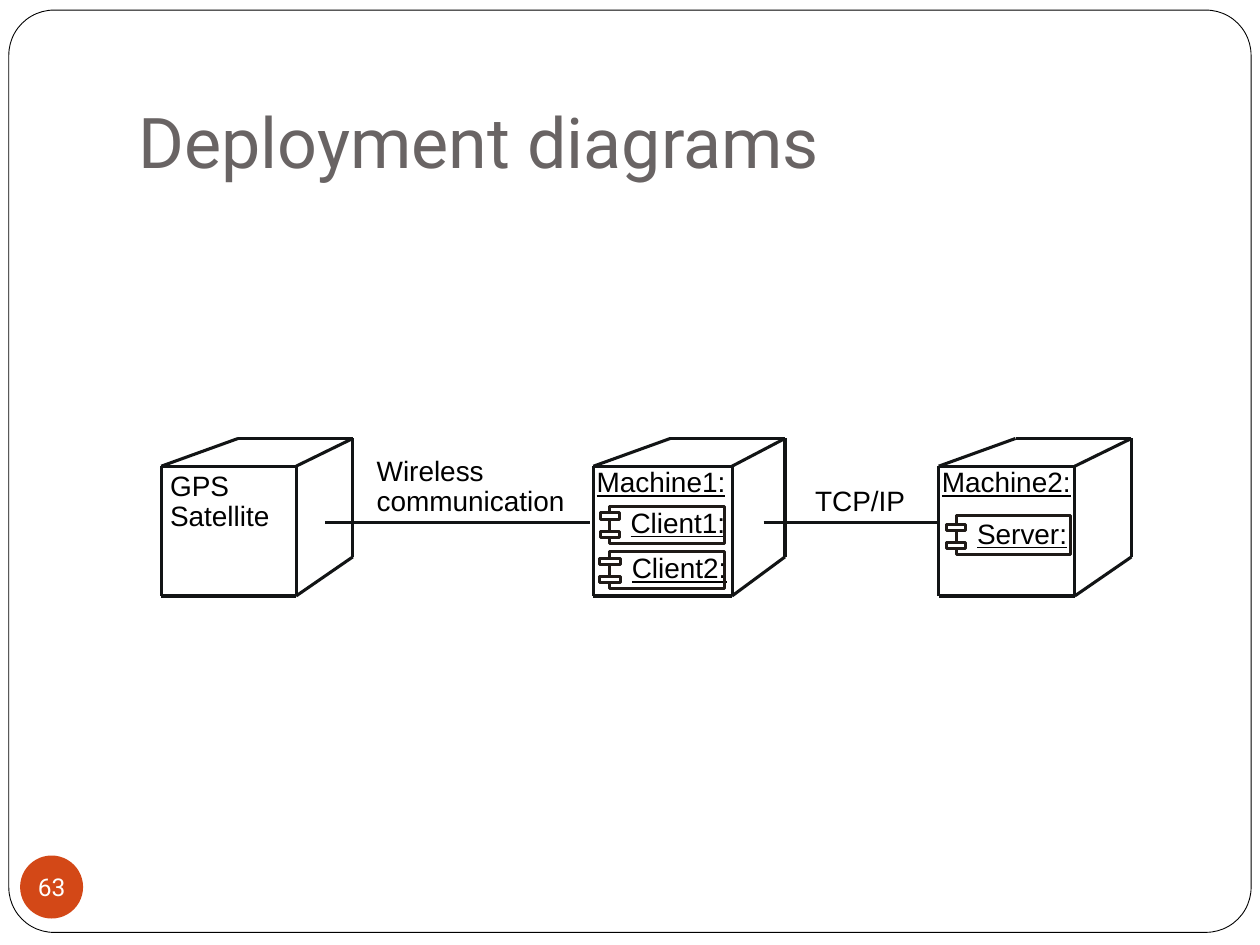
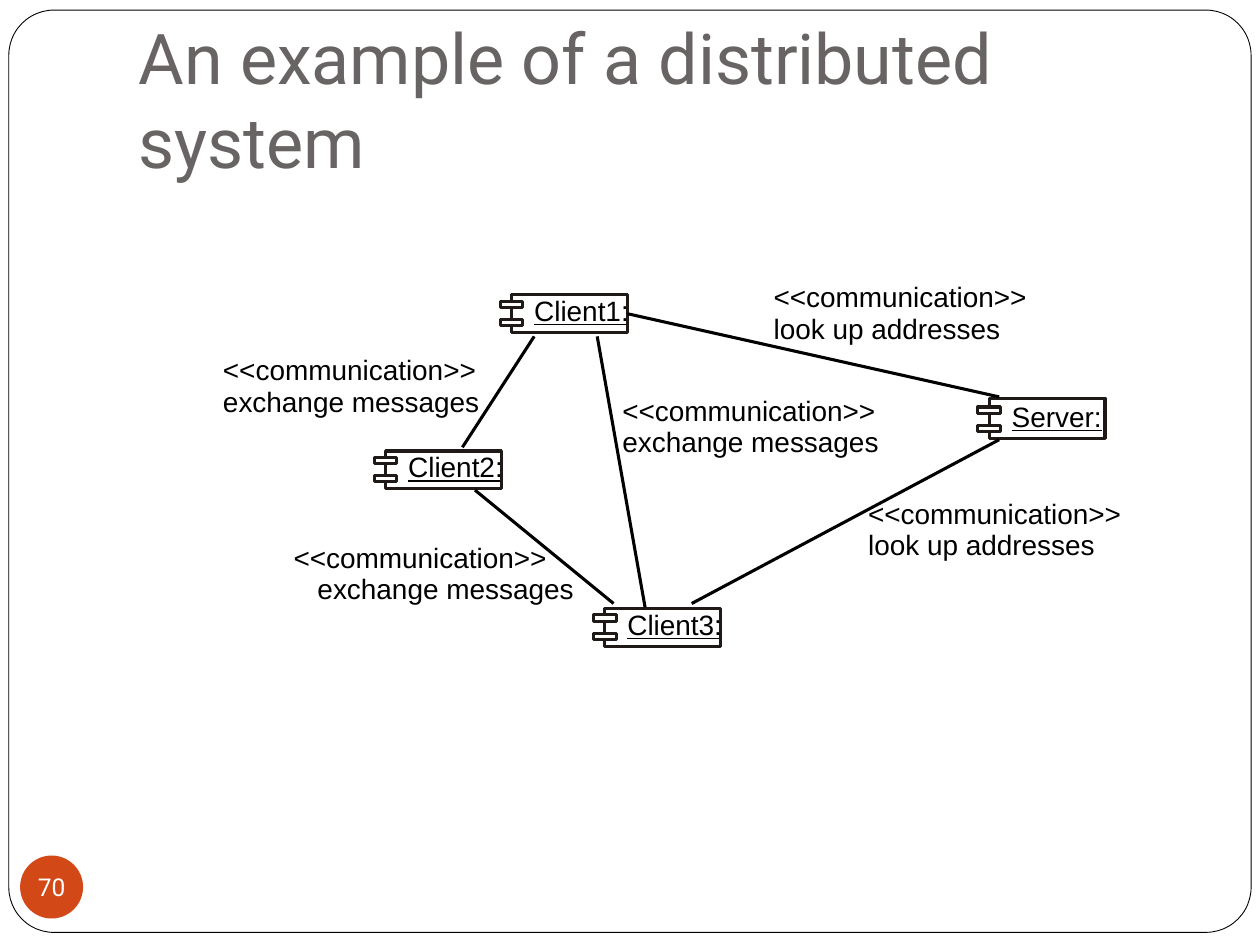
import dataclasses

import lxml.etree
import pptx
import pptx.dml.color
import pptx.enum.shapes
import pptx.enum.text
import pptx.oxml.ns
import pptx.util

WIDTH, HEIGHT = pptx.util.Inches(10), pptx.util.Inches(7.5)
COLUMNS, ROWS = 100, 75
BLACK, WHITE, EDGE, OUTLINE = "000000", "FFFFFF", "121415", "1F1A17"
TITLE_GREY, BADGE_ORANGE = "696464", "D34817"
TITLE_FONT, LABEL_FONT = "Roboto", "Arial"
STROKE = 1.75
LABEL_HEIGHT = 2.7
SHAPES = pptx.enum.shapes.MSO_SHAPE
ANCHORS = pptx.enum.text.MSO_ANCHOR
ALIGNS = pptx.enum.text.PP_ALIGN
RIGHT_SIDE = 3


@dataclasses.dataclass
class Box:
    """An area of the slide in grid columns and rows."""
    left: float
    top: float
    width: float
    height: float

    def inside(self, column, row, width, height):
        """Return a box whose corner is offset from this one's corner."""
        return Box(self.left + column, self.top + row, width, height)

    def point(self, column, row):
        """Return the grid point offset from the corner."""
        return self.left + column, self.top + row

    def lengths(self):
        """Return left, top, width and height as slide lengths."""
        return across(self.left), down(self.top), across(self.width), down(self.height)


def across(columns):
    """Convert columns to a slide length."""
    return round(WIDTH * columns / COLUMNS)


def down(rows):
    """Convert rows to a slide length."""
    return round(HEIGHT * rows / ROWS)


def colour(value):
    """Turn a hex string into a colour."""
    return pptx.dml.color.RGBColor.from_string(value)


def set_frame(frame, anchor, margins=(0, 0, 0, 0)):
    """Set the wrapping, anchor and margins of a text frame."""
    frame.word_wrap = True
    frame.auto_size = pptx.enum.text.MSO_AUTO_SIZE.NONE
    frame.vertical_anchor = anchor
    frame.margin_left, frame.margin_top, frame.margin_right, frame.margin_bottom = map(
        pptx.util.Inches, margins)


def write(frame, text, font, size, ink, align=ALIGNS.LEFT, underline=None):
    """Write one formatted run in the first paragraph."""
    para = frame.paragraphs[0]
    para.alignment = align
    span = para.add_run()
    span.text = text
    span.font.name = font
    span.font.size = pptx.util.Pt(size)
    span.font.underline = underline
    span.font.color.rgb = colour(ink)


def add_shape(page, kind, box, fill=None, line=None, weight=STROKE):
    """Add a flat preset shape."""
    shape = page.shapes.add_shape(kind, *box.lengths())
    shape.shadow.inherit = False
    if fill:
        shape.fill.solid()
        shape.fill.fore_color.rgb = colour(fill)
    else:
        shape.fill.background()
    if line:
        shape.line.color.rgb = colour(line)
        shape.line.width = pptx.util.Pt(weight)
    else:
        shape.line.fill.background()
    return shape


def add_line(page, start, end, ink):
    """Add a straight connector between two grid points."""
    line = page.shapes.add_connector(
        pptx.enum.shapes.MSO_CONNECTOR.STRAIGHT,
        across(start[0]), down(start[1]), across(end[0]), down(end[1]))
    line.line.color.rgb = colour(ink)
    line.line.width = pptx.util.Pt(STROKE)
    lxml.etree.SubElement(line.element.spPr, pptx.oxml.ns.qn("a:effectLst"))
    return line


def add_label(page, box, lines, pitch=2.4, indent=0, underline=None):
    """Stack label lines, each one a pitch lower and an indent further in."""
    for index, text in enumerate(lines):
        place = box.inside(index * indent, index * pitch, box.width, box.height)
        label = page.shapes.add_textbox(*place.lengths())
        set_frame(label.text_frame, ANCHORS.TOP)
        write(label.text_frame, text, LABEL_FONT, 16, BLACK, underline=underline)


def add_component(page, box, name, lug_width, drop=0):
    """Draw a component with two lugs on its left edge and return its body."""
    add_label(page, box.inside(lug_width / 2 + 0.9, drop - 0.1, 9, LABEL_HEIGHT),
              [name], underline=True)
    body = add_shape(page, SHAPES.RECTANGLE, box, line=OUTLINE)
    for row in (0.5, 1.95):
        lug = box.inside(-lug_width / 2, row + drop, lug_width, 0.5)
        add_shape(page, SHAPES.RECTANGLE, lug, WHITE, OUTLINE)
    return body


def add_node(page, box, depth):
    """Draw the nine visible edges of a deployment node."""
    front = box.width - depth
    top_left, top_right = box.point(0, 2.2), box.point(front, 2.2)
    low_left, low_right = box.point(0, box.height), box.point(front, box.height)
    back_left, back_right = box.point(6.1, 0), box.point(box.width, 0)
    back_low = box.point(box.width, 9.4)
    outline = [top_left, back_left, back_right, back_low, low_right, low_left, top_left]
    edges = list(zip(outline, outline[1:]))
    edges += [(top_right, corner) for corner in (top_left, back_right, low_right)]
    for start, end in edges:
        add_line(page, start, end, EDGE)


def add_page(deck, title, number):
    """Add a page with its title and numbered badge."""
    page = deck.slides.add_slide(deck.slide_layouts[5])
    heading = page.shapes.title
    heading.left, heading.top, heading.width, heading.height = Box(10, 3, 85, 12.5).lengths()
    set_frame(heading.text_frame, ANCHORS.BOTTOM, (0.1, 0.05, 0.1, 0.1))
    write(heading.text_frame, title, TITLE_FONT, 40, TITLE_GREY)
    badge = add_shape(page, SHAPES.OVAL, Box(1.6, 67.9, 5, 5), BADGE_ORANGE)
    set_frame(badge.text_frame, ANCHORS.MIDDLE)
    badge.text_frame.word_wrap = False
    write(badge.text_frame, str(number), TITLE_FONT, 14, WHITE, ALIGNS.CENTER)
    return page


def add_layout_border(page):
    """Put the rounded border behind everything on the page's layout."""
    border = add_shape(page, SHAPES.ROUNDED_RECTANGLE, Box(0.7, 0.8, 98.6, 73.2),
                       WHITE, BLACK, 0.5)
    border.adjustments[0] = 0.049
    border.element.nvSpPr.cNvPr.set("id", "90")
    page.slide_layout.shapes.element.insert(2, border.element)


def draw_deployment(page, box):
    """Draw three nodes, their components and the links between them."""
    satellite = box.inside(0, 0, 15.2, box.height)
    machine1 = box.inside(34.3, 0, 15.2, box.height)
    machine2 = box.inside(61.7, 0, 15.3, box.height)
    for node, depth in ((satellite, 4.5), (machine1, 4.2), (machine2, 4.5)):
        add_node(page, node, depth)
    for start, end in ((13, 34), (47.8, 61.7)):
        add_line(page, box.point(start, 6.7), box.point(end, 6.7), EDGE)
    add_label(page, satellite.inside(0.7, 2.4, 9.1, LABEL_HEIGHT), ["GPS", "Satellite"])
    for node, name in ((machine1, "Machine1:"), (machine2, "Machine2:")):
        add_label(page, node.inside(0.25, 2.1, 11.3, LABEL_HEIGHT), [name], underline=True)
    add_label(page, box.inside(17.1, 1.2, 16.4, LABEL_HEIGHT), ["Wireless", "communication"])
    add_label(page, box.inside(51.9, 3.6, 8.3, LABEL_HEIGHT), ["TCP/IP"])
    add_component(page, machine1.inside(1.3, 5.4, 9.1, 2.9), "Client1:", 1.5)
    add_component(page, machine1.inside(1.3, 9, 9.1, 2.9), "Client2:", 1.7)
    add_component(page, machine2.inside(1.4, 6.1, 9.1, 3.1), "Server:", 1.5, 0.2)


def draw_distributed_system(page, box):
    """Draw the clients, the server and their labelled communication paths."""
    client1 = add_component(page, box.inside(22.9, 1.2, 9.2, 3), "Client1:", 1.8)
    add_component(page, box.inside(12.9, 13.6, 9.2, 3), "Client2:", 1.8)
    add_component(page, box.inside(30.3, 26.1, 9.2, 3), "Client3:", 1.8)
    add_component(page, box.inside(60.8, 9.4, 9.2, 3.2), "Server:", 1.8, 0.2)
    links = [((19, 13.3), (24.7, 4.5)), ((29.7, 4.5), (33.5, 26)),
             ((20, 16.7), (31, 25.7)), ((37.2, 25.7), (61.6, 12.7))]
    for start, end in links:
        add_line(page, box.point(*start), box.point(*end), BLACK)
    lookup = add_line(page, box.point(32.1, 2.7), box.point(61.6, 9.3), BLACK)
    lookup.begin_connect(client1, RIGHT_SIDE)
    exchange, look_up = "exchange messages", "look up addresses"
    labels = [(51.2, 17.2, look_up, 0), (5.6, 20.7, exchange, 1.9), (0, 5.8, exchange, 0),
              (31.7, 9, exchange, 0), (43.7, 0, look_up, 0)]
    for column, row, action, indent in labels:
        add_label(page, box.inside(column, row, 22.4, LABEL_HEIGHT),
                  ["<<communication>>", action], 2.5, indent)


def main():
    """Build and save the deck."""
    deck = pptx.Presentation()
    deck.slide_width, deck.slide_height = WIDTH, HEIGHT
    deployment = add_page(deck, "Deployment diagrams", 63)
    add_layout_border(deployment)
    draw_deployment(deployment, Box(12.8, 34.8, 77, 12.5))
    distributed = add_page(deck, "An example of a distributed system", 70)
    draw_distributed_system(distributed, Box(17.7, 22.2, 73.6, 29.1))
    deck.save("out.pptx")


if __name__ == "__main__":
    main()
